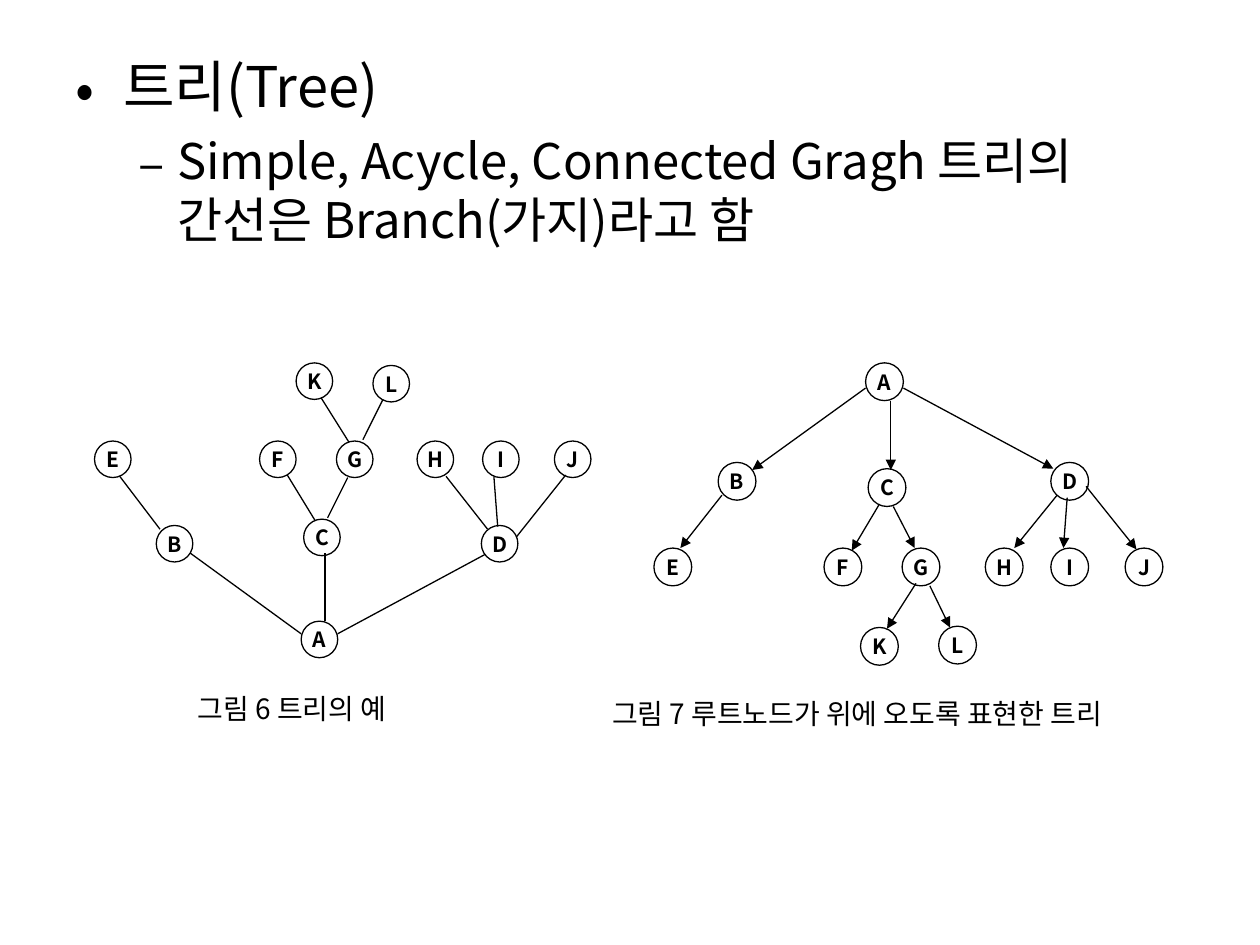
import pptx
import pptx.util
import pptx.dml.color
import pptx.enum.shapes
import pptx.enum.text
import pptx.oxml
import pptx.oxml.ns

Inches = pptx.util.Inches
Pt = pptx.util.Pt
FONT = "Noto Sans CJK KR"
INK = "000000"


def color(text):
    return pptx.dml.color.RGBColor.from_string(text)


def add_tag(parent, tag, **attrs):
    node = pptx.oxml.parse_xml(f"<a:{tag} {pptx.oxml.ns.nsdecls('a')}/>")
    for key, value in attrs.items():
        node.set(key, value)
    parent.append(node)


def style(para, size, bold=False):
    para.line_spacing = Pt(size * 1.2)
    font = para.font
    font.name = FONT
    font.size = Pt(size)
    font.bold = bold
    font.color.rgb = color(INK)
    add_tag(para._p.pPr.find(pptx.oxml.ns.qn("a:defRPr")), "ea", typeface=FONT)


def add_body(slide, left, top, width, height):
    frame = slide.shapes.add_textbox(
        Inches(left), Inches(top), Inches(width), Inches(height)).text_frame
    frame.word_wrap = True
    items = [
        ("트리(Tree)", 32, 0, "•", 0.38, 0.38),
        ("Simple, Acycle, Connected Gragh 트리의 간선은 Branch(가지)라고 함",
         28, 1, "–", 0.81, 0.31),
    ]
    for index, (text, size, level, mark, margin, hang) in enumerate(items):
        para = frame.add_paragraph() if index else frame.paragraphs[0]
        para.text = text
        para.level = level
        if index:
            para.space_before = Pt(7)
        props = para._p.get_or_add_pPr()
        props.set("marL", str(Inches(margin)))
        props.set("indent", str(-Inches(hang)))
        add_tag(props, "buFont", typeface=FONT)
        add_tag(props, "buChar", char=mark)
        style(para, size)


def add_node(shapes, name, left, top, size):
    oval = shapes.add_shape(
        pptx.enum.shapes.MSO_SHAPE.OVAL,
        Inches(left), Inches(top), Inches(size), Inches(size))
    oval.shadow.inherit = False
    oval.fill.background()
    oval.line.color.rgb = color(INK)
    oval.line.width = Pt(0.75)
    frame = oval.text_frame
    frame.word_wrap = False
    frame.vertical_anchor = pptx.enum.text.MSO_ANCHOR.MIDDLE
    para = frame.paragraphs[0]
    para.text = name
    para.alignment = pptx.enum.text.PP_ALIGN.CENTER
    style(para, 12, True)


def add_edge(shapes, start, end, arrow):
    edge = shapes.add_connector(
        pptx.enum.shapes.MSO_CONNECTOR.STRAIGHT,
        *(Inches(value) for value in start + end))
    edge.line.color.rgb = color(INK)
    edge.line.width = Pt(0.75)
    if arrow:
        add_tag(edge.line._get_or_add_ln(), "tailEnd", type="triangle")
    add_tag(edge._element.spPr, "effectLst")


def add_tree(slide, left, top, size, nodes, edges, label, arrow=False):
    shapes = slide.shapes.add_group_shape().shapes
    text, across, down, width, wrap = label
    frame = shapes.add_textbox(
        Inches(left + across), Inches(top + down),
        Inches(width), Inches(0.37)).text_frame
    frame.word_wrap = wrap
    frame.paragraphs[0].text = text
    style(frame.paragraphs[0], 16)
    for name, (x, y) in nodes.items():
        add_node(shapes, name, left + x, top + y, size)
    for x1, y1, x2, y2 in edges:
        add_edge(shapes, (left + x1, top + y1), (left + x2, top + y2), arrow)


UP_NODES = {
    "A": (1.64, 2.05), "B": (0.49, 1.29), "C": (1.66, 1.24), "D": (3.07, 1.29),
    "J": (3.65, 0.62), "I": (3.08, 0.62), "H": (2.56, 0.62), "G": (1.92, 0.62),
    "F": (1.31, 0.62), "E": (0, 0.62), "K": (1.6, 0), "L": (2.21, 0.02),
}
UP_EDGES = [
    (1.64, 2.15, 0.76, 1.51), (1.93, 2.15, 3.1, 1.52), (1.83, 2.05, 1.83, 1.51),
    (1.53, 0.89, 1.75, 1.25), (1.85, 1.23, 2.01, 0.91), (0.2, 0.9, 0.52, 1.32),
    (2.79, 0.9, 3.12, 1.32), (3.17, 0.9, 3.2, 1.3), (3.35, 1.38, 3.74, 0.89),
    (1.8, 0.28, 2.02, 0.63), (2.13, 0.61, 2.29, 0.29),
]
DOWN_NODES = {
    "A": (2.11, 0), "B": (0.94, 0.79), "C": (2.13, 0.84), "D": (3.58, 0.79),
    "J": (4.17, 1.47), "I": (3.58, 1.47), "H": (3.06, 1.47), "G": (2.4, 1.47),
    "F": (1.78, 1.47), "E": (0.43, 1.47), "K": (2.07, 2.1), "L": (2.69, 2.09),
}
DOWN_EDGES = [
    (2.11, 0.2, 1.21, 0.85), (2.41, 0.2, 3.6, 0.84), (2.31, 0.3, 2.31, 0.85),
    (2.22, 1.12, 2, 1.49), (2.33, 1.14, 2.5, 1.47), (0.97, 1.05, 0.64, 1.47),
    (3.63, 1.05, 3.29, 1.47), (3.71, 1.07, 3.68, 1.47), (3.86, 0.98, 4.26, 1.48),
    (2.51, 1.75, 2.28, 2.11), (2.62, 1.77, 2.78, 2.1),
]


def main():
    deck = pptx.Presentation()
    deck.slide_width = Inches(10)
    deck.slide_height = Inches(7.5)
    slide = deck.slides.add_slide(deck.slide_layouts[6])
    add_body(slide, 0.5, 0.36, 9, 4.95)
    add_tree(slide, 0.75, 2.88, 0.29, UP_NODES, UP_EDGES,
             ("그림 6 트리의 예", 0.72, 2.56, 1.84, False))
    add_tree(slide, 4.76, 2.88, 0.3, DOWN_NODES, DOWN_EDGES,
             ("그림 7 루트노드가 위에 오도록 표현한 트리", 0, 2.6, 4.57, True),
             arrow=True)
    deck.save("out.pptx")


if __name__ == "__main__":
    main()
